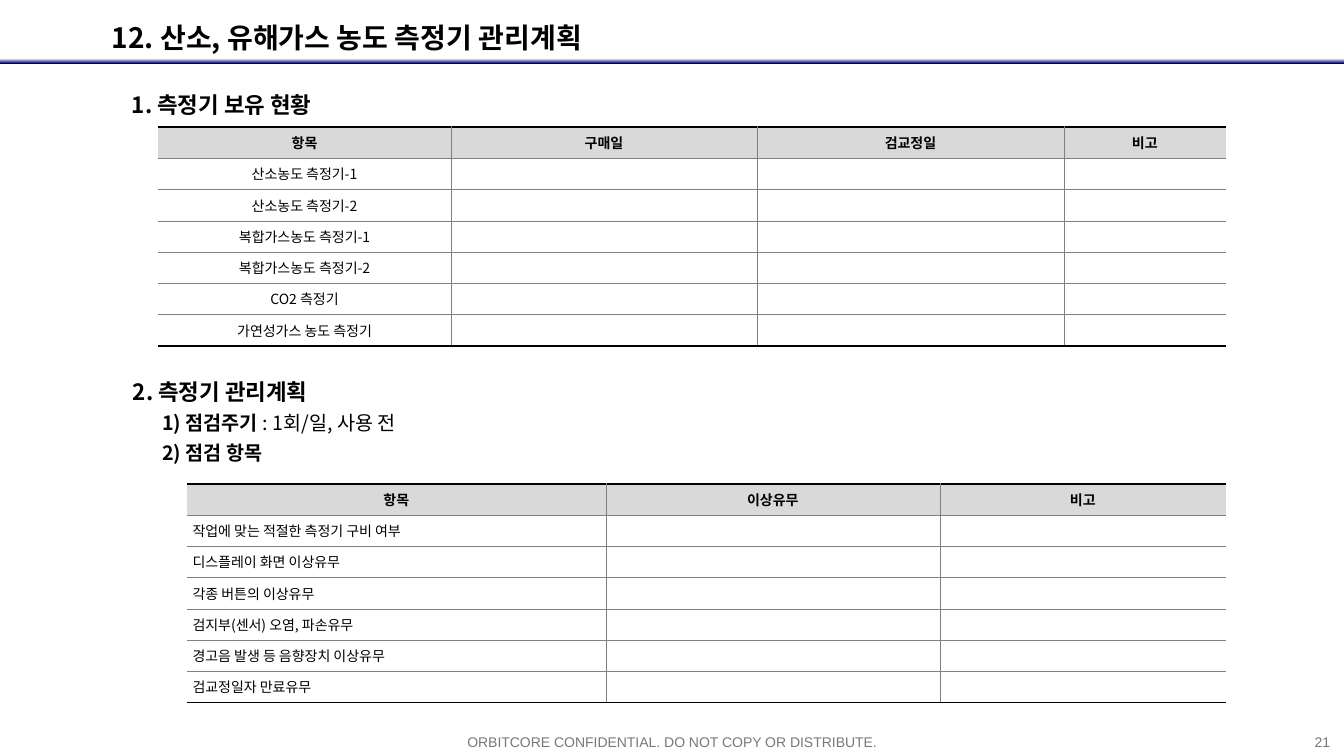
from dataclasses import dataclass

from lxml.etree import SubElement
from pptx import Presentation
from pptx.dml.color import RGBColor
from pptx.enum.shapes import MSO_SHAPE as Shape
from pptx.enum.text import MSO_ANCHOR as Anchor, PP_ALIGN as Align
from pptx.oxml.ns import qn
from pptx.util import Inches, Pt

COLORS = {
    "text": "000000",
    "footer": "787878",
    "header_fill": "D9D9D9",
    "grid": "808080",
    "frame": "000000",
    "rule_start": "FFFFFF",
    "rule_end": "000066",
}
KOREAN = "Noto Sans CJK KR"
NO_TABLE_STYLE = "{2D5ABB26-0587-4C30-8999-92F81FD0307C}"
LINE_SPACING = 1.27
ROW_HEIGHT = 0.31
HANGING = 0.29


@dataclass
class Piece:
    text: str
    size: float
    bold: bool = False
    font: str = KOREAN
    color: str = "text"


@dataclass
class TextBlock:
    box: tuple[float, float, float, float]
    lines: list[list[Piece]]
    align: Align = Align.LEFT
    spacing: float = 1.0
    hanging: bool = False
    anchor: Anchor = Anchor.TOP
    wrap: bool = True


@dataclass
class CheckTable:
    left: float
    top: float
    widths: list[float]
    headers: list[str]
    items: list[str]
    item_align: Align


def add_piece(paragraph, piece: Piece) -> None:
    run = paragraph.add_run()
    run.text = piece.text
    font = run.font
    font.name, font.size, font.bold = piece.font, Pt(piece.size), piece.bold
    font.color.rgb = RGBColor.from_string(COLORS[piece.color])
    SubElement(run._r.get_or_add_rPr(), qn("a:ea")).set("typeface", piece.font)


def add_text(slide, block: TextBlock) -> None:
    frame = slide.shapes.add_textbox(*map(Inches, block.box)).text_frame
    frame.word_wrap = block.wrap
    frame.vertical_anchor = block.anchor
    paragraph = frame.paragraphs[0]
    paragraph.alignment = block.align
    paragraph.line_spacing = block.spacing
    if block.hanging:
        properties = paragraph._p.get_or_add_pPr()
        properties.set("marL", str(Inches(HANGING)))
        properties.set("indent", str(-Inches(HANGING)))
        paragraph.space_after = Pt(10)
    for index, line in enumerate(block.lines):
        if index:
            paragraph.add_line_break()
        for piece in line:
            add_piece(paragraph, piece)


def add_border(cell, side: str, color: str, width: float) -> None:
    line = SubElement(cell._tc.get_or_add_tcPr(), qn(f"a:ln{side}"), w=str(Pt(width)))
    if width:
        fill = SubElement(line, qn("a:solidFill"))
        SubElement(fill, qn("a:srgbClr"), val=COLORS[color])
    else:
        SubElement(line, qn("a:noFill"))


def add_check_table(slide, spec: CheckTable) -> None:
    rows, columns = len(spec.items) + 1, len(spec.widths)
    table = slide.shapes.add_table(
        rows, columns, Inches(spec.left), Inches(spec.top),
        Inches(sum(spec.widths)), Inches(ROW_HEIGHT * rows),
    ).table
    table.first_row = table.horz_banding = False
    table._tbl.tblPr.find(qn("a:tableStyleId")).text = NO_TABLE_STYLE
    for column, width in zip(table.columns, spec.widths):
        column.width = Inches(width)
    for r, row in enumerate(table.rows):
        row.height = Inches(ROW_HEIGHT)
        for c, cell in enumerate(row.cells):
            # Open sides, thin grid, heavy top and bottom
            add_border(cell, "L", "grid", 0.25 if c else 0)
            add_border(cell, "R", "grid", 0.25 if c < columns - 1 else 0)
            add_border(cell, "T", *(("grid", 0.25) if r else ("frame", 1.5)))
            add_border(cell, "B", *(("grid", 0.25) if r < rows - 1 else ("frame", 1.5)))
            cell.vertical_anchor = Anchor.MIDDLE
            cell.margin_left = cell.margin_right = Inches(0.06)
            cell.margin_top = cell.margin_bottom = Inches(0.05)
            if r:
                cell.fill.background()
            else:
                cell.fill.solid()
                cell.fill.fore_color.rgb = RGBColor.from_string(COLORS["header_fill"])
            # Cell text
            paragraph = cell.text_frame.paragraphs[0]
            paragraph.alignment = spec.item_align if r else Align.CENTER
            if r == 0:
                add_piece(paragraph, Piece(spec.headers[c], 10, True))
            elif c == 0:
                add_piece(paragraph, Piece(spec.items[r - 1], 10))
            else:
                SubElement(paragraph._p, qn("a:endParaRPr"), sz="1000")


def add_title_rule(slide) -> None:
    rule = slide.shapes.add_shape(
        Shape.RECTANGLE, 0, Inches(0.58), Inches(13.33), Inches(0.05))
    rule.shadow.inherit = False
    rule.line.fill.background()
    rule.fill.gradient()
    rule.fill.gradient_angle = 270
    for stop, name in zip(rule.fill.gradient_stops, ("rule_start", "rule_end")):
        stop.color.rgb = RGBColor.from_string(COLORS[name])


TEXTS = [
    # Footer and page number
    TextBlock((4.16, 7.23, 5.01, 0.27),
              [[Piece("ORBITCORE CONFIDENTIAL. DO NOT COPY OR DISTRIBUTE.",
                      10, font="Arial", color="footer")]], Align.CENTER),
    TextBlock((12.92, 7.23, 0.37, 0.27),
              [[Piece("21", 10, font="Arial", color="footer")]], Align.RIGHT, wrap=False),
    # Title and section headings
    TextBlock((1.01, 0.03, 5.37, 0.6),
              [[Piece("12. 산소, 유해가스 농도 측정기 관리계획", 20, True)]],
              spacing=LINE_SPACING, anchor=Anchor.MIDDLE),
    TextBlock((1.21, 0.78, 8.52, 0.5), [[Piece("1. 측정기 보유 현황", 16, True)]],
              spacing=LINE_SPACING, hanging=True),
    TextBlock((1.22, 3.63, 9.22, 1.21),
              [[Piece("2. 측정기 관리계획", 16, True)],
               [Piece("1) 점검주기 ", 14, True), Piece(": 1회/일, 사용 전", 14)],
               [Piece("2) 점검 항목", 14, True)]],
              spacing=LINE_SPACING, hanging=True),
]

TABLES = [
    CheckTable(1.57, 1.26, [2.9, 3.04, 3.04, 1.61],
               ["항목", "구매일", "검교정일", "비고"],
               ["산소농도 측정기-1", "산소농도 측정기-2", "복합가스농도 측정기-1",
                "복합가스농도 측정기-2", "CO2 측정기", "가연성가스 농도 측정기"],
               Align.CENTER),
    CheckTable(1.85, 4.8, [4.16, 3.31, 2.84],
               ["항목", "이상유무", "비고"],
               ["작업에 맞는 적절한 측정기 구비 여부", "디스플레이 화면 이상유무",
                "각종 버튼의 이상유무", "검지부(센서) 오염, 파손유무",
                "경고음 발생 등 음향장치 이상유무", "검교정일자 만료유무"],
               Align.LEFT),
]


def main() -> None:
    presentation = Presentation()
    presentation.slide_width, presentation.slide_height = Inches(13.33), Inches(7.5)
    slide = presentation.slides.add_slide(presentation.slide_layouts[6])
    add_title_rule(slide)
    for block in TEXTS:
        add_text(slide, block)
    for spec in TABLES:
        add_check_table(slide, spec)
    presentation.save("out.pptx")


if __name__ == "__main__":
    main()
